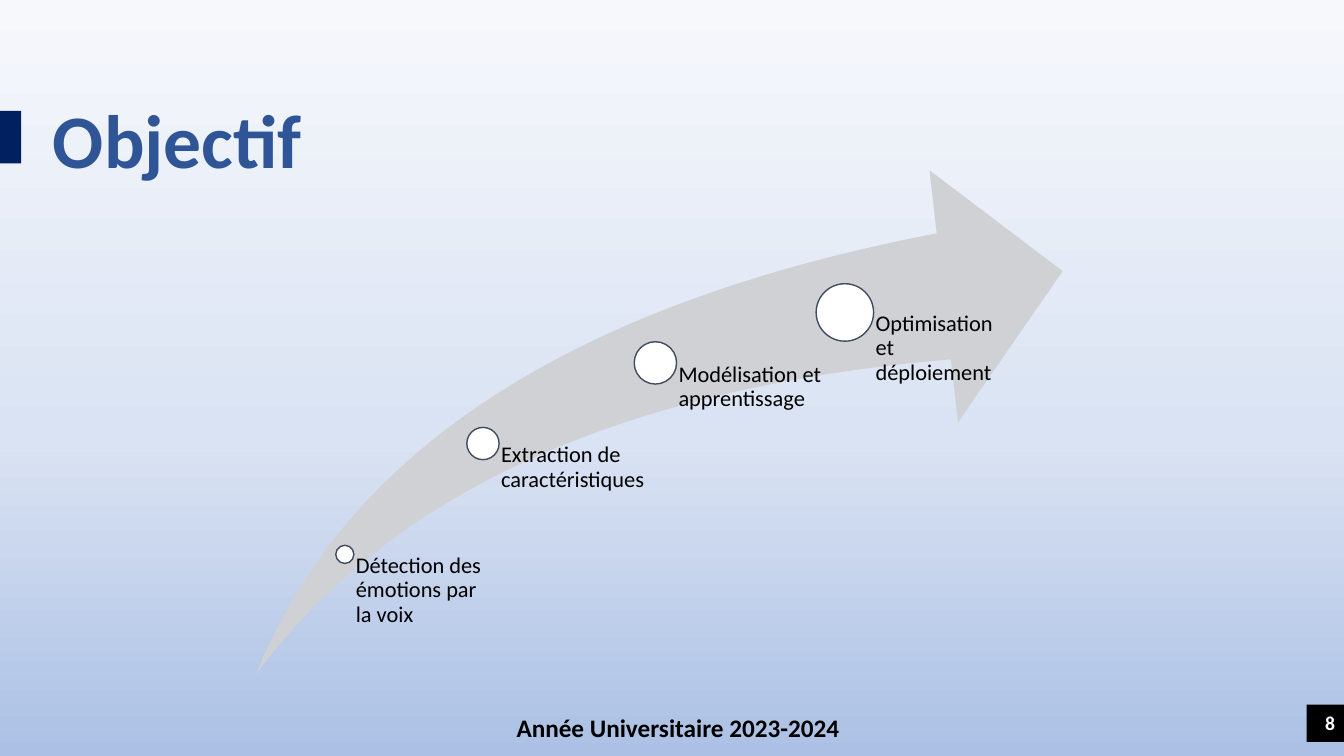
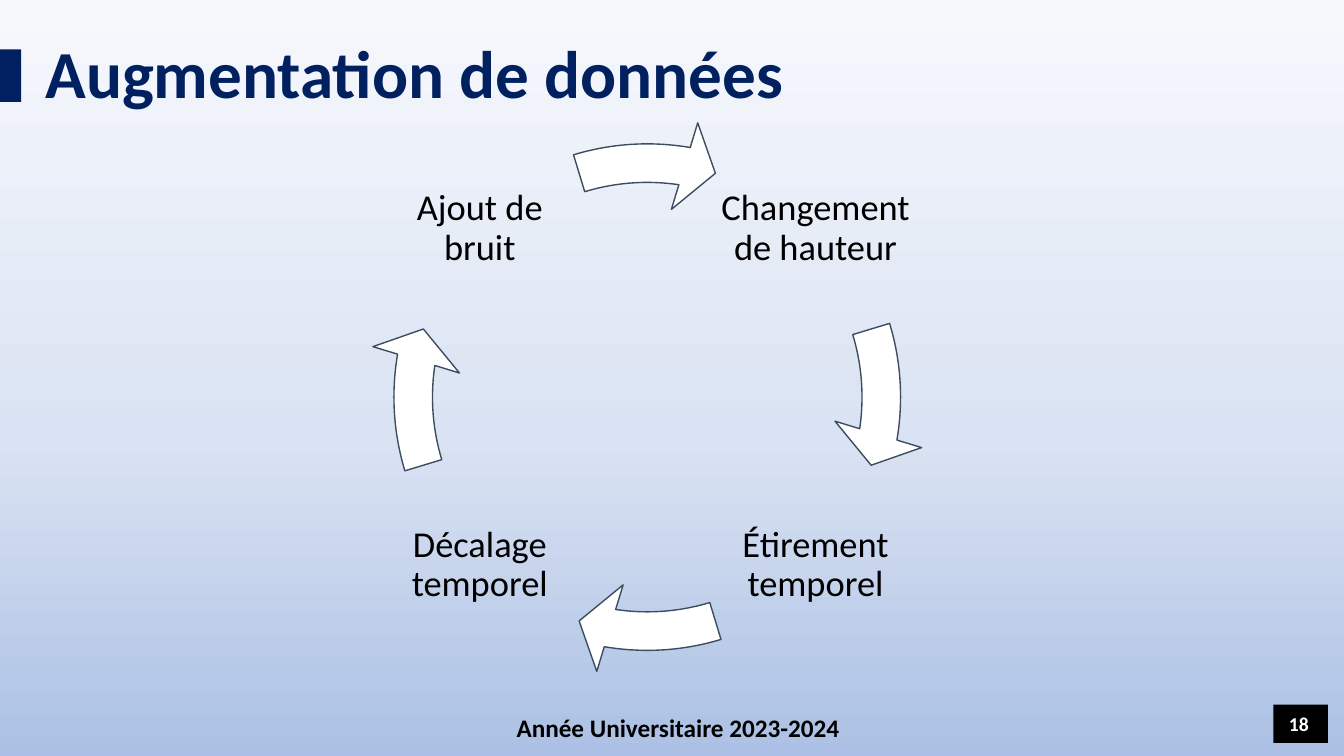
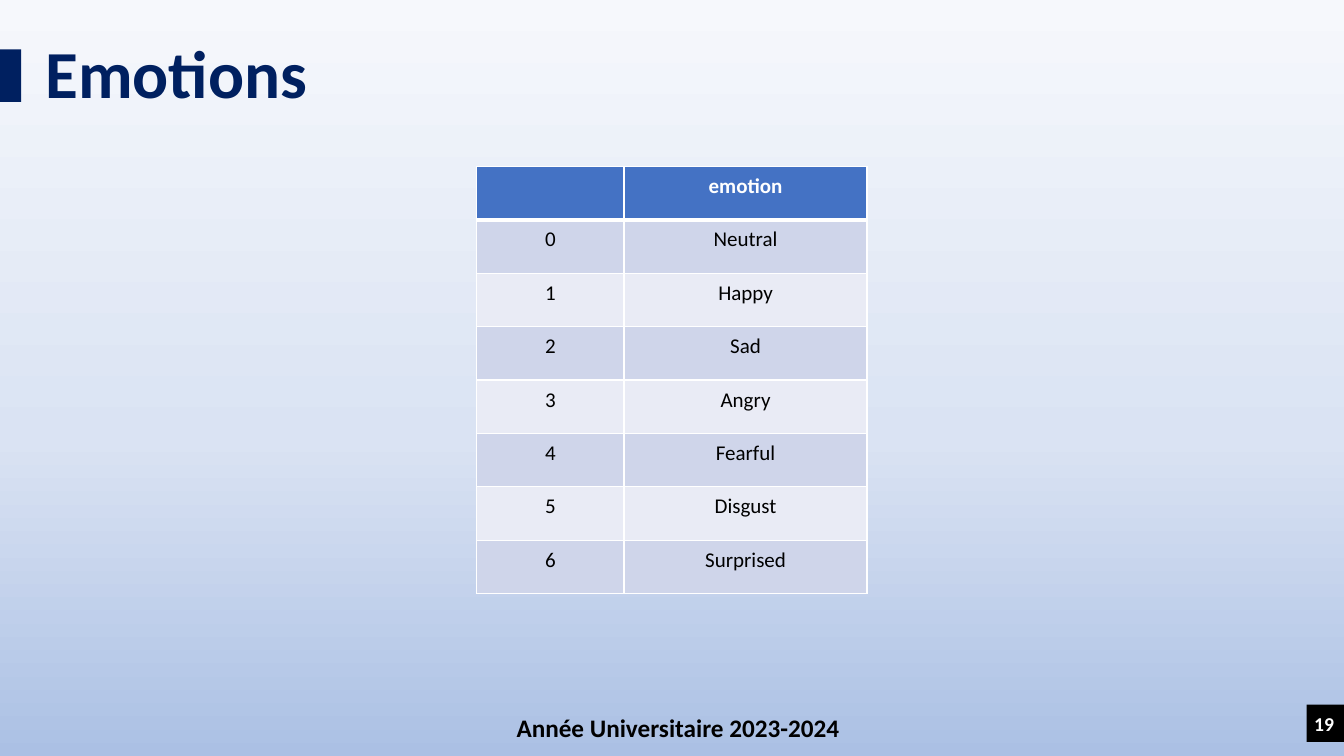
from dataclasses import dataclass
from lxml.etree import SubElement
from pptx import Presentation
from pptx.dml.color import RGBColor
from pptx.enum.shapes import MSO_SHAPE as Preset
from pptx.enum.text import MSO_ANCHOR as Anchor, MSO_AUTO_SIZE as AutoSize, PP_ALIGN as Align
from pptx.oxml.ns import qn
from pptx.util import Inches, Pt


@dataclass(frozen=True)
class Theme:
    font: str = "Calibri"
    navy: str = "002060"
    blue: str = "2F5597"
    black: str = "000000"
    white: str = "FFFFFF"
    swoosh: str = "CFD1D4"
    outline: str = "3E4C60"
    header: str = "4472C4"
    bands: tuple = ("CFD5EA", "E9EBF5")
    backdrop: tuple = ((0, "F6F8FC"), (58, "DAE3F3"), (100, "ABC0E4"), (100, "C7D5ED"))
    opening_title: int = 54
    title: int = 48
    cycle: int = 26
    footer: int = 18
    step: int = 16
    cell: int = 15
    number: int = 14


class Deck:
    def __init__(self, theme):
        self.theme = theme
        self.prs = Presentation()
        self.prs.slide_width, self.prs.slide_height = Inches(13.33), Inches(7.5)
        self.slide = None
        self.paint_backdrop()

    def paint_backdrop(self):
        master = self.prs.slide_master
        fill = master.background.fill
        fill.gradient()
        fill.gradient_angle = 270
        stops = master.element.find(".//" + qn("p:bg")).find(".//" + qn("a:gsLst"))
        for stop in list(stops):
            stops.remove(stop)
        for percent, color in self.theme.backdrop:
            stop = SubElement(stops, qn("a:gs"), pos=str(percent * 1000))
            SubElement(stop, qn("a:srgbClr"), val=color)

    def style_text(self, frame, text, size, color=None, bold=False, align=Align.LEFT, spacing=None):
        frame.text = text
        for paragraph in frame.paragraphs:
            paragraph.alignment = align
            if spacing:
                paragraph.line_spacing = spacing
            for run in paragraph.runs:
                run.font.name = self.theme.font
                run.font.size = Pt(size)
                run.font.bold = bold
                run.font.color.rgb = RGBColor.from_string(color or self.theme.black)

    def inset(self, holder, left, top, right, bottom):
        holder.margin_left, holder.margin_top = Inches(left), Inches(top)
        holder.margin_right, holder.margin_bottom = Inches(right), Inches(bottom)

    def text(self, box, text, size, insets=(0.1, 0.05, 0.1, 0.05), anchor=Anchor.TOP, **style):
        frame = self.slide.shapes.add_textbox(*map(Inches, box)).text_frame
        frame.word_wrap = True
        frame.vertical_anchor = anchor
        self.inset(frame, *insets)
        self.style_text(frame, text, size, **style)

    def shape(self, preset, box, fill, outline=None, adjustments=()):
        shape = self.slide.shapes.add_shape(preset, *map(Inches, box))
        shape.shadow.inherit = False
        shape.fill.solid()
        shape.fill.fore_color.rgb = RGBColor.from_string(fill)
        if outline:
            shape.line.color.rgb = RGBColor.from_string(outline)
            shape.line.width = Pt(1)
        else:
            shape.line.fill.background()
        for index, value in enumerate(adjustments):
            shape.adjustments[index] = value

    def new_slide(self, number, badge, number_box):
        theme = self.theme
        self.slide = self.prs.slides.add_slide(self.prs.slide_layouts[5])
        self.shape(Preset.RECTANGLE, badge, theme.black)
        self.text(number_box, number, theme.number, anchor=Anchor.MIDDLE,
                  color=theme.white, bold=True, align=Align.RIGHT)
        self.text((3.39, 7.02, 6.67, 0.4), "Année Universitaire 2023-2024", theme.footer,
                  bold=True, align=Align.CENTER)

    def title(self, text, box, marker_top=0.49, size=None, color=None, indent=0.18, align=Align.LEFT):
        theme = self.theme
        self.shape(Preset.RECTANGLE, (0, marker_top, 0.21, 0.52), theme.navy)
        title = self.slide.shapes.title
        title.left, title.top, title.width, title.height = map(Inches, box)
        frame = title.text_frame
        frame.auto_size = AutoSize.NONE
        frame.word_wrap = True
        frame.vertical_anchor = Anchor.TOP
        self.inset(frame, indent, 0.05, 0.1, 0.05)
        self.style_text(frame, text, size or theme.title, color or theme.navy, True, align)

    def step(self, text, center_x, center_y, diameter, width):
        radius = diameter / 2
        self.shape(Preset.OVAL, (center_x - radius, center_y - radius, diameter, diameter),
                   self.theme.white, self.theme.outline)
        self.text((center_x, center_y, width, 6.69 - center_y), text, self.theme.step,
                  insets=(radius + 0.02, 0, 0, 0), spacing=0.9)

    def cycle(self, stages):
        left, top, side = 3.65, 1.17, 5.54
        quarter, full_turn = 54, 216
        for index, (text, x, y) in enumerate(stages):
            self.text((x, y, 1.96, 1.96), text, self.theme.cycle, insets=(0.04,) * 4,
                      anchor=Anchor.MIDDLE, align=Align.CENTER, spacing=0.9)
            turn = quarter * index
            self.shape(Preset.CIRCULAR_ARROW, (left, top, side, side), self.theme.white, self.theme.outline,
                       (0.069, 4.652, 5.502 + turn, (205.847 + turn) % full_turn, 0.081))

    def borders(self, cell, **widths):
        properties = cell._tc.get_or_add_tcPr()
        for index, side in enumerate("LRTB"):
            line = SubElement(properties, qn("a:ln" + side), w=str(Pt(widths.get(side, 1))))
            SubElement(SubElement(line, qn("a:solidFill")), qn("a:srgbClr"), val=self.theme.white)
            properties.remove(line)
            properties.insert(index, line)

    def table(self, left, top, widths, row_height, rows):
        theme = self.theme
        box = (left, top, sum(widths), row_height * len(rows))
        table = self.slide.shapes.add_table(len(rows), len(widths), *map(Inches, box)).table
        for column, width in zip(table.columns, widths):
            column.width = Inches(width)
        for r, row in enumerate(rows):
            table.rows[r].height = Inches(row_height)
            heading = r == 0
            edges = {0: {"B": 3}, 1: {"T": 3}}.get(r, {})
            for c, text in enumerate(row):
                cell = table.cell(r, c)
                cell.fill.solid()
                cell.fill.fore_color.rgb = RGBColor.from_string(
                    theme.header if heading else theme.bands[(r - 1) % 2])
                self.inset(cell, 0.14, 0.07, 0.14, 0.07)
                self.style_text(cell.text_frame, text, theme.cell, theme.white if heading else theme.black,
                                heading, Align.CENTER)
                self.borders(cell, **edges)


def objective(deck):
    theme = deck.theme
    deck.new_slide("8", (12.96, 6.99, 0.37, 0.37), (13.03, 6.97, 0.31, 0.4))
    deck.title("Objectif", (0.35, 0.87, 2.82, 1.01), 1.1, theme.opening_title, theme.blue, 0.1, Align.CENTER)
    deck.shape(Preset.SWOOSH_ARROW, (2.54, 1.69, 8, 5), theme.swoosh, adjustments=(0.25, 0.25))
    for step in (
        ("Détection des émotions par la voix", 3.42, 5.5, 0.18, 1.37),
        ("Extraction de caractéristiques", 4.79, 4.4, 0.32, 1.68),
        ("Modélisation et apprentissage", 6.5, 3.6, 0.42, 1.68),
        ("Optimisation et déploiement", 8.38, 3.1, 0.57, 1.68),
    ):
        deck.step(*step)


def augmentation(deck):
    deck.new_slide("18", (12.63, 6.99, 0.54, 0.38), (12.54, 6.99, 0.54, 0.38))
    deck.title("Augmentation de données", (0.27, 0.26, 7.84, 0.91))
    west, east, north, south = 3.78, 7.11, 1.29, 4.63
    deck.cycle((
        ("Changement de hauteur", east, north),
        ("Étirement temporel", east, south),
        ("Décalage temporel", west, south),
        ("Ajout de bruit", west, north),
    ))


def emotions(deck):
    deck.new_slide("19", (12.96, 6.99, 0.37, 0.37), (12.8, 6.99, 0.53, 0.38))
    deck.title("Emotions", (0.27, 0.26, 3.07, 0.91))
    labels = ("Neutral", "Happy", "Sad", "Angry", "Fearful", "Disgust", "Surprised")
    rows = [("", "emotion")] + [(str(code), label) for code, label in enumerate(labels)]
    deck.table(4.73, 1.65, (1.46, 2.41), 0.53, rows)


def main():
    deck = Deck(Theme())
    for build in (objective, augmentation, emotions):
        build(deck)
    deck.prs.save("out.pptx")


if __name__ == "__main__":
    main()
